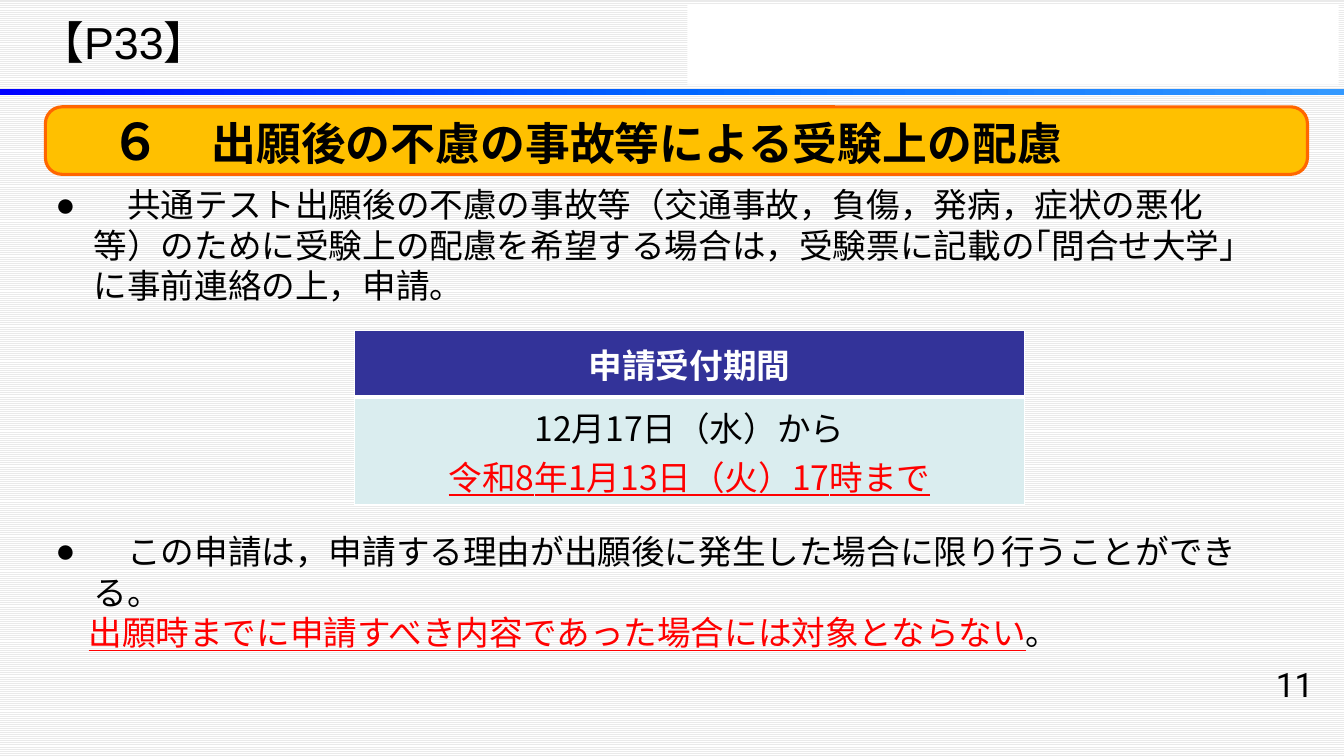
from copy import deepcopy
from pptx import Presentation
from pptx.dml.color import RGBColor as RGB
from pptx.enum.dml import MSO_PATTERN as PAT
from pptx.enum.shapes import MSO_SHAPE as SHP
from pptx.enum.text import MSO_ANCHOR as ANC, PP_ALIGN as AL
from pptx.oxml.ns import qn
from pptx.oxml.xmlchemy import OxmlElement as Elem
from pptx.util import Inches, Pt

WIDE, HIGH = Inches(13.33), Inches(7.5)
CJK = "Noto Sans CJK JP"
BLACK, RED, WHITE = "000000", "FF0000", "FFFFFF"
HANG = 0.38


def tint(code):
    return RGB.from_string(code)


def area(left, top, wide, high):
    """Turn shares of the slide, in percent, into lengths."""
    return [round(part * side / 100) for part, side in
            zip((left, top, wide, high), (WIDE, HIGH, WIDE, HIGH))]


def child(node, tag, **attrs):
    part = Elem(tag)
    for key, val in attrs.items():
        part.set(key, str(val))
    node.append(part)
    return part


def put(item, vals):
    for key, val in vals.items():
        setattr(item, key, val)


def look(size, face=CJK, color=BLACK, **more):
    return {"size": Pt(size), "name": face, "color": color, **more}


def write(para, *runs):
    """Add (words, look) runs to a paragraph."""
    for words, style in runs:
        run = para.add_run()
        run.text = words
        vals = dict(style)
        run.font.color.rgb = tint(vals.pop("color"))
        put(run.font, vals)
        child(run.font._element, "a:ea", typeface=CJK)


def fill_text(frame, paras, align=AL.LEFT):
    for i, runs in enumerate(paras):
        para = frame.paragraphs[0] if i == 0 else frame.add_paragraph()
        para.alignment = align
        write(para, *runs)


def label(slide, place, paras, anchor=ANC.MIDDLE, align=AL.LEFT):
    frame = slide.shapes.add_textbox(*area(*place)).text_frame
    put(frame, {"word_wrap": True, "vertical_anchor": anchor})
    fill_text(frame, paras, align)
    return frame


def indent(para, left, first=0):
    props = para._p.get_or_add_pPr()
    props.set("marL", str(Inches(left)))
    props.set("indent", str(Inches(first)))
    return props


def note(slide, place, paras):
    """Body text whose first paragraph has a bullet."""
    frame = label(slide, place, paras, ANC.TOP)
    props = indent(frame.paragraphs[0], HANG, -HANG)
    child(props, "a:buFont", typeface="Arial")
    child(props, "a:buChar", char="●")
    for para in frame.paragraphs[1:]:
        indent(para, 0.33)


def block(slide, kind, place, color):
    shape = slide.shapes.add_shape(kind, *area(*place))
    shape.shadow.inherit = False
    shape.line.fill.background()
    shape.fill.solid()
    shape.fill.fore_color.rgb = tint(color)
    return shape


def backdrop(slide):
    fill = slide.background.fill
    fill.patterned()
    fill.pattern = PAT.LIGHT_HORIZONTAL
    fill.fore_color.rgb = tint(WHITE)
    fill.back_color.rgb = tint("EAEAEA")


def header(slide):
    # Plain panel
    block(slide, SHP.RECTANGLE, (51.15, 0.67, 48.45, 10.53), WHITE)
    # Blue rule
    rule = block(slide, SHP.RECTANGLE, (0, 11.73, 100, 0.8), "0000FF")
    rule.fill.gradient()
    rule.fill.gradient_angle = 0
    stops = rule._element.spPr.find(".//" + qn("a:gsLst"))
    stops.insert(1, deepcopy(stops[0]))
    shades = ("0000FF", "0066FF", "3399FF")
    for i, (stop, color) in enumerate(zip(rule.fill.gradient_stops, shades)):
        stop.color.rgb = tint(color)
        stop.position = i / 2
    # Page reference
    label(slide, (2.18, 0.8, 18, 9.47), [[("【P33】", look(32, "Arial"))]])


def banner(slide):
    bar = block(slide, SHP.ROUNDED_RECTANGLE, (3.38, 14.13, 93.9, 8.93), "FFC000")
    bar.adjustments[0] = 0.245
    bar.line.color.rgb = tint("FF6600")
    bar.line.width = Pt(2.25)
    bar.text_frame.vertical_anchor = ANC.MIDDLE
    fill_text(bar.text_frame,
              [[("　６　", look(36, bold=True)),
                ("出願後の不慮の事故等による受験上の配慮", look(32, bold=True))]])


def edge(cell, low):
    """White cell borders, the lower one of its own width."""
    props = cell._tc.get_or_add_tcPr()
    sides = zip(("lnL", "lnR", "lnT", "lnB"), (1, 1, 1, low))
    for i, (side, width) in enumerate(sides):
        line = Elem("a:" + side)
        line.set("w", str(Pt(width)))
        child(child(line, "a:solidFill"), "a:srgbClr", val=WHITE)
        props.insert(i, line)


def period(slide):
    rows = [
        (0.66, "333399", 3,
         [[("申請受付期間", look(24, "Arial", WHITE, bold=True))]]),
        (1.07, "DAEDEF", 1, [
            [("12月17日（水）から", look(24, bold=False))],
            [("令和8年1月13日（火）17時まで",
              look(24, color=RED, bold=False, underline=True))]]),
    ]
    place = area(26.4, 43.73, 49.8, 23.07)
    table = slide.shapes.add_table(len(rows), 1, *place).table
    for i, (high, color, low, paras) in enumerate(rows):
        table.rows[i].height = Inches(high)
        cell = table.cell(i, 0)
        cell.fill.solid()
        cell.fill.fore_color.rgb = tint(color)
        cell.vertical_anchor = ANC.MIDDLE
        fill_text(cell.text_frame, paras, AL.CENTER)
        edge(cell, low)


def main():
    deck = Presentation()
    put(deck, {"slide_width": WIDE, "slide_height": HIGH})
    slide = deck.slides.add_slide(deck.slide_layouts[6])
    backdrop(slide)
    header(slide)
    banner(slide)
    # Body notes around the table
    body = look(24, "Arial")
    note(slide, (3.38, 23.73, 91.5, 18.93), [[(
        "　共通テスト出願後の不慮の事故等（交通事故，負傷，発病，症状の悪化等）"
        "のために受験上の配慮を希望する場合は，受験票に記載の｢問合せ大学｣"
        "に事前連絡の上，申請。", body)]])
    period(slide)
    note(slide, (3.38, 69.6, 89.78, 15.2), [
        [("　この申請は，申請する理由が出願後に発生した場合に限り行うことができる。", body)],
        [("出願時までに申請すべき内容であった場合には対象とならない",
          look(24, "Arial", RED, underline=True)), ("。", body)]])
    # Page number
    label(slide, (82.2, 87.2, 16.28, 6.93), [[("11", look(24, "Roboto"))]],
          ANC.TOP, AL.RIGHT)
    deck.save("out.pptx")


if __name__ == "__main__":
    main()
